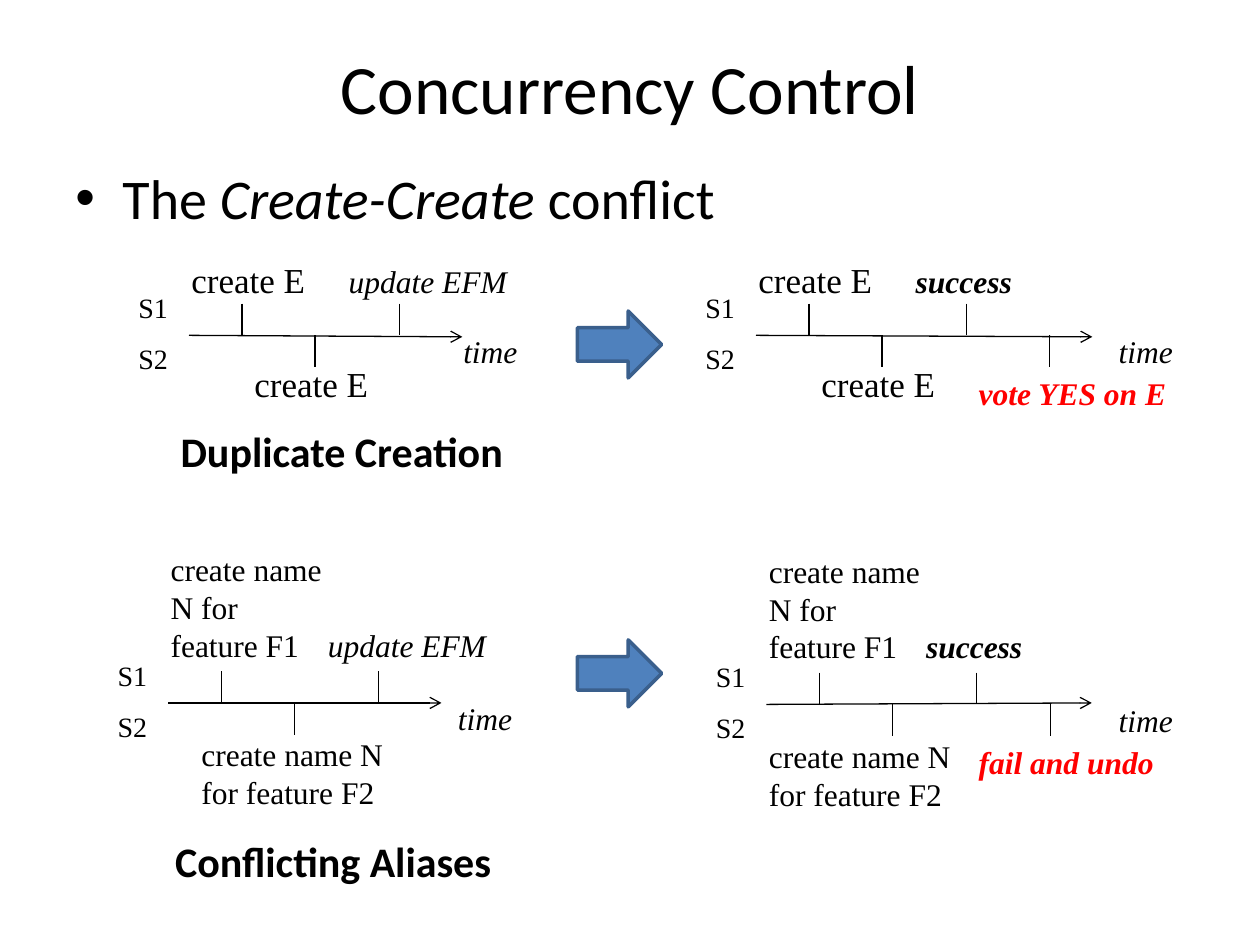
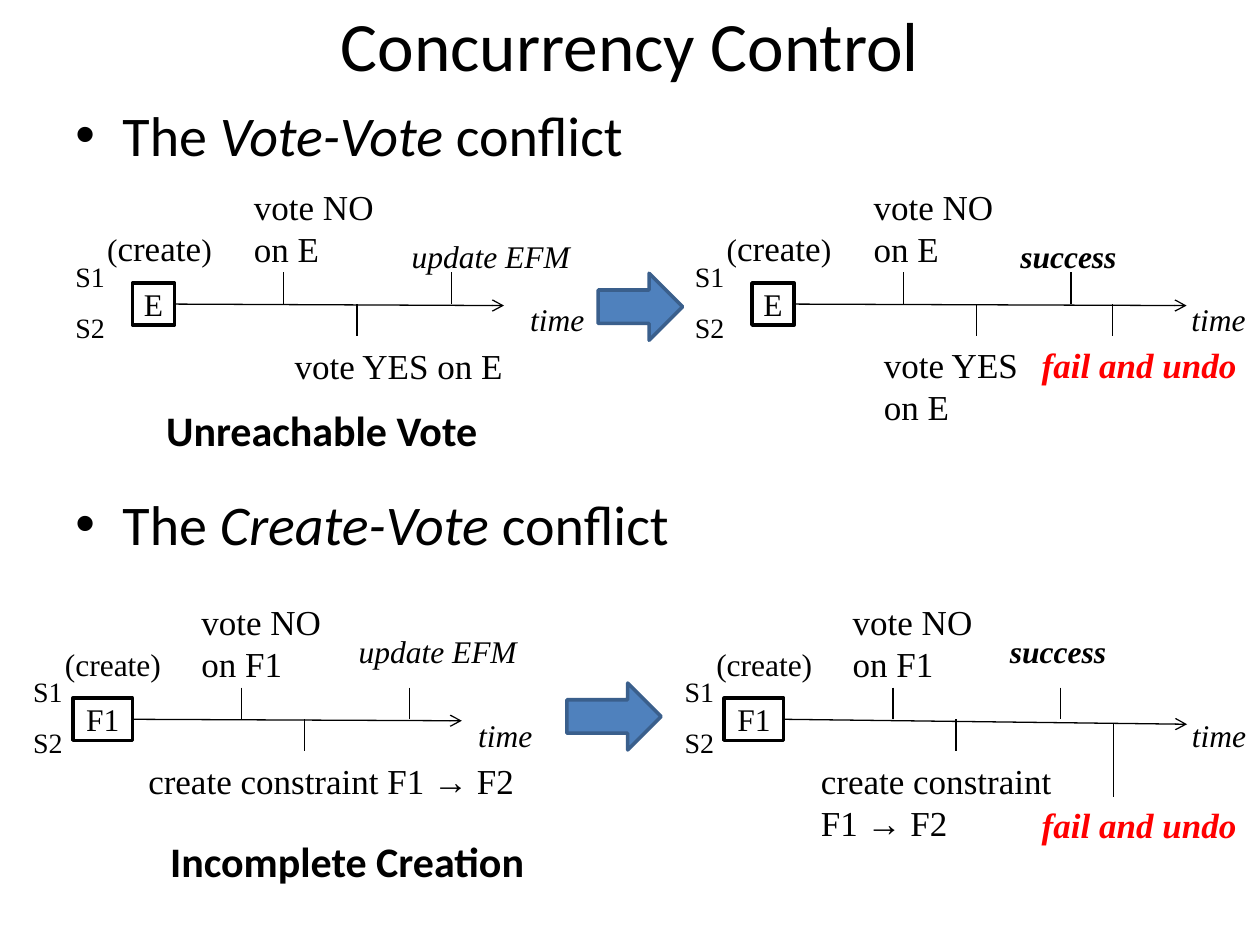
from dataclasses import dataclass
from typing import NamedTuple, Optional, Union

from lxml.etree import SubElement
from pptx import Presentation
from pptx.dml.color import RGBColor
from pptx.enum.shapes import MSO_CONNECTOR as Connector, MSO_SHAPE as Preset
from pptx.enum.text import MSO_ANCHOR as Anchor, MSO_AUTO_SIZE as AutoSize, PP_ALIGN as Align
from pptx.oxml.ns import qn
from pptx.util import Cm, Pt

BLACK = RGBColor(0x00, 0x00, 0x00)
WHITE = RGBColor(0xFF, 0xFF, 0xFF)
RED = RGBColor(0xFF, 0x00, 0x00)
BLUE = RGBColor(0x4F, 0x81, 0xBD)
DARK_BLUE = RGBColor(0x3A, 0x5F, 0x8C)
SANS, SERIF = "Calibri", "Times New Roman"

MARGIN, CONTENT_WIDTH = 1.27, 22.86
BULLET_INDENT = 0.95
TICK = 0.64
ENTITY_HEIGHT = 0.85


class Span(NamedTuple):
    text: str
    size: Optional[float] = None
    italic: Optional[bool] = None


Text = Union[str, tuple[Span, ...]]


@dataclass
class Label:
    """Text placed relative to the origin of its timeline, in cm."""
    text: Text
    dx: float
    dy: float
    width: float
    size: float = 20
    rows: int = 1
    bold: bool = False
    italic: bool = False
    color: RGBColor = BLACK


@dataclass
class Entity:
    """An element that exists before the timeline starts."""
    name: str
    dx: float
    width: float


class Tick(NamedTuple):
    dx: float
    start: float
    end: float


@dataclass
class Timeline:
    """S1 events sit above the axis, S2 events below; offsets start at the S labels."""
    left: float
    axis: float
    end: float
    time_dx: float
    above: tuple[float, ...]
    below: tuple[float, ...]
    labels: tuple[Label, ...]
    drop: float = 0.03
    entity: Optional[Entity] = None
    extra_ticks: tuple[Tick, ...] = ()


class Caption(NamedTuple):
    text: str
    left: float
    top: float
    width: float


class Bullet(NamedTuple):
    conflict: str
    top: float


class BlockArrow(NamedTuple):
    left: float
    top: float
    width: float = 1.7


@dataclass
class Page:
    title_top: float
    title_height: float
    bullets: tuple[Bullet, ...]
    timelines: tuple[Timeline, ...]
    captions: tuple[Caption, ...]
    arrows: tuple[BlockArrow, ...]


def update_efm(dx: float, dy: float, width: float) -> Label:
    return Label("update EFM", dx, dy, width, 18, italic=True)


def success(dx: float, dy: float, width: float) -> Label:
    return Label("success", dx, dy, width, 18, bold=True, italic=True)


def outcome(text: str, dx: float, dy: float, width: float, size: float) -> Label:
    return Label(text, dx, dy, width, size, bold=True, italic=True, color=RED)


def write(para, text: Text, *, size: float, font: str = SERIF, bold: bool = False,
          italic: bool = False, color: RGBColor = BLACK) -> None:
    spans = (Span(text),) if isinstance(text, str) else text
    for span in spans:
        run = para.add_run()
        run.text = span.text
        run.font.name = font
        run.font.size = Pt(span.size or size)
        run.font.bold = bold
        run.font.italic = italic if span.italic is None else span.italic
        run.font.color.rgb = color


def add_text(slide, text: Text, left: float, top: float, width: float, *, size: float,
             rows: int = 1, wrap: bool = True, bullet: bool = False, **style) -> None:
    height = 0.25 + rows * size * 0.04
    box = slide.shapes.add_textbox(Cm(left), Cm(top), Cm(width), Cm(height))
    frame = box.text_frame
    frame.word_wrap = wrap
    frame.auto_size = AutoSize.SHAPE_TO_FIT_TEXT
    para = frame.paragraphs[0]
    if bullet:
        props = para._p.get_or_add_pPr()
        props.set("marL", str(Cm(BULLET_INDENT)))
        props.set("indent", str(-Cm(BULLET_INDENT)))
        SubElement(props, qn("a:buFont")).set("typeface", "Arial")
        SubElement(props, qn("a:buChar")).set("char", "•")
    write(para, text, size=size, **style)


def add_line(slide, x1: float, y1: float, x2: float, y2: float, arrow: bool = False):
    line = slide.shapes.add_connector(Connector.STRAIGHT, Cm(x1), Cm(y1), Cm(x2), Cm(y2))
    line.line.color.rgb = BLACK
    line.line.width = Pt(0.75)
    if arrow:
        SubElement(line.line._get_or_add_ln(), qn("a:tailEnd")).set("type", "arrow")
    SubElement(line._element.spPr, qn("a:effectLst"))
    return line


def add_preset(slide, preset: Preset, left: float, top: float, width: float, height: float,
               fill: RGBColor, outline: RGBColor):
    shape = slide.shapes.add_shape(preset, Cm(left), Cm(top), Cm(width), Cm(height))
    shape.shadow.inherit = False
    shape.fill.solid()
    shape.fill.fore_color.rgb = fill
    shape.line.color.rgb = outline
    shape.line.width = Pt(2)
    return shape


def add_entity(slide, entity: Entity, line: Timeline):
    box = add_preset(slide, Preset.RECTANGLE, line.left + entity.dx,
                     line.axis - ENTITY_HEIGHT / 2, entity.width, ENTITY_HEIGHT, WHITE, BLACK)
    frame = box.text_frame
    frame.word_wrap = False
    frame.vertical_anchor = Anchor.MIDDLE
    frame.paragraphs[0].alignment = Align.CENTER
    write(frame.paragraphs[0], entity.name, size=18)
    return box


def add_timeline(slide, line: Timeline) -> None:
    left, axis = line.left, line.axis
    arrow = add_line(slide, left + 1.27, axis, left + line.end, axis + line.drop, arrow=True)
    if line.entity:
        arrow.begin_connect(add_entity(slide, line.entity, line), 3)

    ticks = [Tick(dx, -TICK, 0) for dx in line.above]
    ticks += [Tick(dx, 0, TICK) for dx in line.below]
    for tick in (*ticks, *line.extra_ticks):
        add_line(slide, left + tick.dx, axis + tick.start, left + tick.dx, axis + tick.end)

    add_text(slide, "S1", left, axis - 1.02, 1.12, size=16, wrap=False)
    add_text(slide, "S2", left, axis, 1.12, size=16, wrap=False)
    add_text(slide, "time", left + line.time_dx, axis - 0.2, 1.63, size=18,
             wrap=False, italic=True)
    for label in line.labels:
        add_text(slide, label.text, left + label.dx, axis + label.dy, label.width,
                 size=label.size, rows=label.rows, bold=label.bold,
                 italic=label.italic, color=label.color)


def add_title(slide, page: Page) -> None:
    title = slide.shapes.title
    title.left, title.top = Cm(MARGIN), Cm(page.title_top)
    title.width, title.height = Cm(CONTENT_WIDTH), Cm(page.title_height)
    title.text_frame.vertical_anchor = Anchor.MIDDLE
    para = title.text_frame.paragraphs[0]
    para.alignment = Align.CENTER
    write(para, "Concurrency Control", size=39.6, font=SANS)


def add_page(deck, page: Page) -> None:
    slide = deck.slides.add_slide(deck.slide_layouts[5])
    add_title(slide, page)
    for bullet in page.bullets:
        text = (Span("The "), Span(bullet.conflict, italic=True), Span(" conflict"))
        add_text(slide, text, MARGIN, bullet.top, CONTENT_WIDTH, size=32,
                 font=SANS, bullet=True)
    for line in page.timelines:
        add_timeline(slide, line)
    for caption in page.captions:
        add_text(slide, caption.text, caption.left, caption.top, caption.width,
                 size=24, wrap=False, font=SANS, bold=True)
    for arrow in page.arrows:
        add_preset(slide, Preset.RIGHT_ARROW, arrow.left, arrow.top, arrow.width, 1.35,
                   BLUE, DARK_BLUE)


CREATE_E = (Label("create E", 1.07, -1.68, 2.97), Label("create E", 2.34, 0.43, 3.18))
NAME_F1 = Label("create name N for feature F1", 1.07, -3.2, 3.6, 18, rows=3)
NAME_F2 = "create name N for feature F2"
CREATED_E = Label((Span("(", 18), Span("create"), Span(")", 18)), 0.64, -1.68, 3.18)
CREATED_F1 = Label("(create)", 0.64, -1.63, 2.54, 18)
NO_ON_E = Label("vote NO on E", 3.6, -2.51, 3.38, rows=2)
NO_ON_F1 = Label("vote NO on F1", 3.39, -2.51, 3.38, rows=2)
CONSTRAINT = "create constraint F1 → F2"
ENTITY_E = Entity("E", 1.4, 0.85)
ENTITY_F1 = Entity("F1", 1.05, 1.2)
CREATE_TICKS = (2.34, 5.51)
VOTE_TICKS = (4.45, 7.83)

PAGES = (
    Page(
        0.76, 1.98,
        bullets=(Bullet("Create-Create", 3.18),),
        timelines=(
            Timeline(2.54, 6.76, 6.78, 6.55, CREATE_TICKS, (3.81,),
                     (*CREATE_E, update_efm(4.24, -1.6, 4.02))),
            Timeline(13.97, 6.76, 8.05, 8.33, CREATE_TICKS, (3.81, 7.19),
                     (*CREATE_E, success(4.24, -1.6, 4.02),
                      outcome("vote YES on E", 5.51, 0.66, 4.45, 18))),
            Timeline(2.12, 14.17, 6.78, 6.86, CREATE_TICKS, (3.81,),
                     (NAME_F1, Label(NAME_F2, 1.69, 0.53, 4.45, 18, rows=2),
                      update_efm(4.24, -1.68, 5.5)), drop=0),
            Timeline(14.18, 14.2, 7.83, 8.12, CREATE_TICKS, (3.81, 6.99),
                     (NAME_F1, Label(NAME_F2, 1.07, 0.53, 4.45, 18, rows=2),
                      success(4.24, -1.68, 5.5),
                      outcome("fail and undo", 5.3, 0.66, 4.45, 18)), drop=-0.03),
        ),
        captions=(Caption("Duplicate Creation", 3.39, 8.46, 7.09),
                  Caption("Conflicting Aliases", 3.28, 16.71, 7.11)),
        arrows=(BlockArrow(11.64, 6.27), BlockArrow(11.64, 12.9)),
    ),
    Page(
        0, 1.78,
        bullets=(Bullet("Vote-Vote", 1.91), Bullet("Create-Vote", 9.74)),
        timelines=(
            Timeline(1.27, 6.13, 8.89, 9.17, VOTE_TICKS, (5.93,),
                     (CREATED_E, NO_ON_E, Label("vote YES on E", 4.42, 0.69, 5.29),
                      update_efm(6.78, -1.47, 4.24)), entity=ENTITY_E),
            Timeline(13.76, 6.13, 10.16, 10.01, VOTE_TICKS, (5.93, 8.67),
                     (CREATED_E, NO_ON_E, Label("vote YES on E", 3.81, 0.66, 3.81, rows=2),
                      success(6.56, -1.47, 4.24),
                      outcome("fail and undo", 6.99, 0.66, 4.65, 20)), entity=ENTITY_E),
            Timeline(0.42, 14.5, 8.89, 8.97, VOTE_TICKS, (5.72,),
                     (CREATED_F1, NO_ON_F1, Label(CONSTRAINT, 2.32, 0.69, 8.05),
                      update_efm(6.56, -1.88, 4.24)), entity=ENTITY_F1),
            Timeline(13.55, 14.5, 10.38, 10.23, VOTE_TICKS, (5.72,),
                     (CREATED_F1, NO_ON_F1, Label(CONSTRAINT, 2.75, 0.69, 5.92, rows=2),
                      success(6.56, -1.88, 4.24),
                      outcome("fail and undo", 7.2, 1.57, 4.65, 20)),
                     drop=0.1, entity=ENTITY_F1, extra_ticks=(Tick(8.89, 0.1, 1.57),)),
        ),
        captions=(Caption("Unreachable Vote", 3.1, 8.03, 6.86),
                  Caption("Incomplete Creation", 3.18, 16.71, 7.72)),
        arrows=(BlockArrow(12.06, 5.51), BlockArrow(11.43, 13.77, 1.9)),
    ),
)


def main() -> None:
    deck = Presentation()
    deck.slide_width, deck.slide_height = Cm(25.4), Cm(19.05)
    for page in PAGES:
        add_page(deck, page)
    deck.save("out.pptx")


if __name__ == "__main__":
    main()
